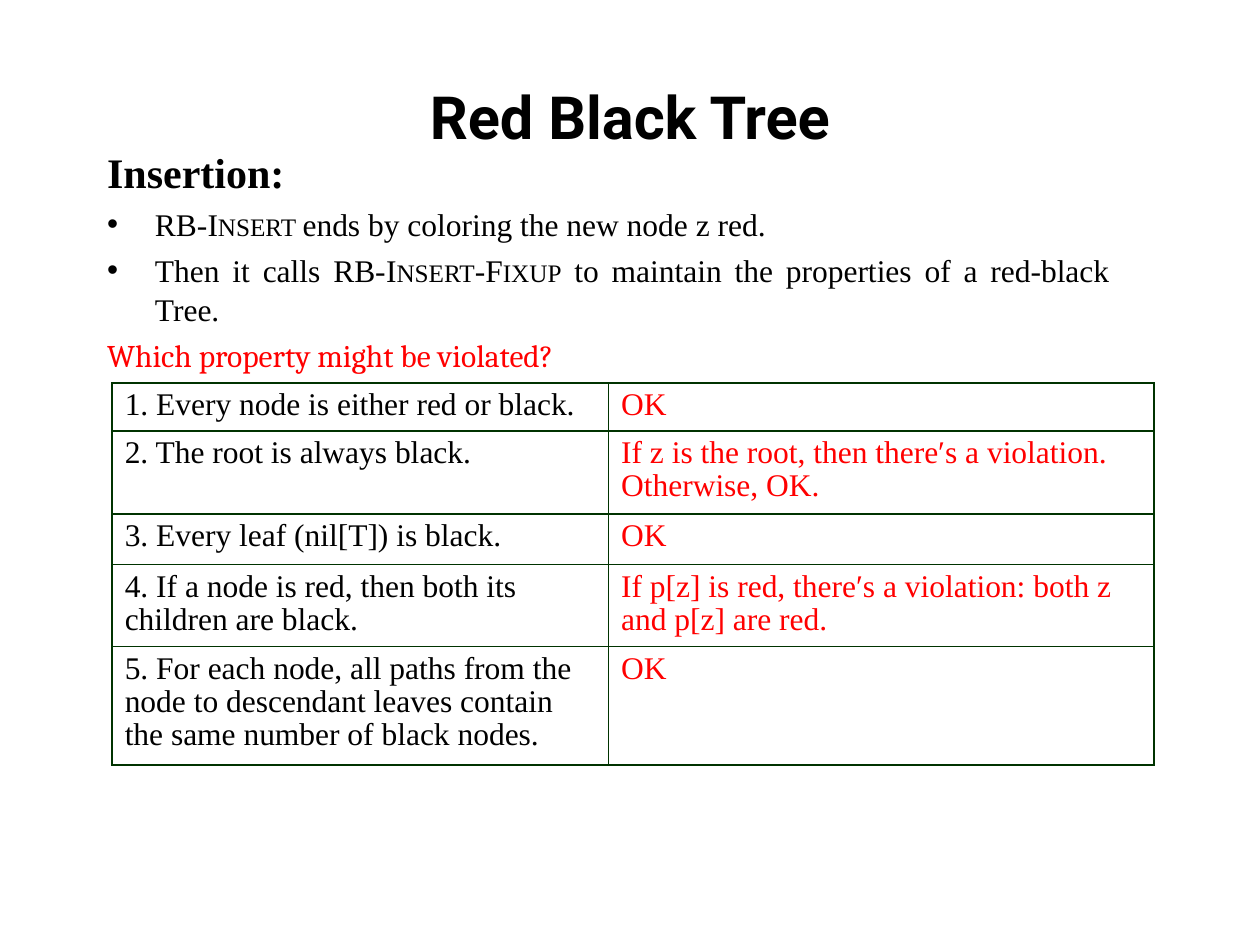
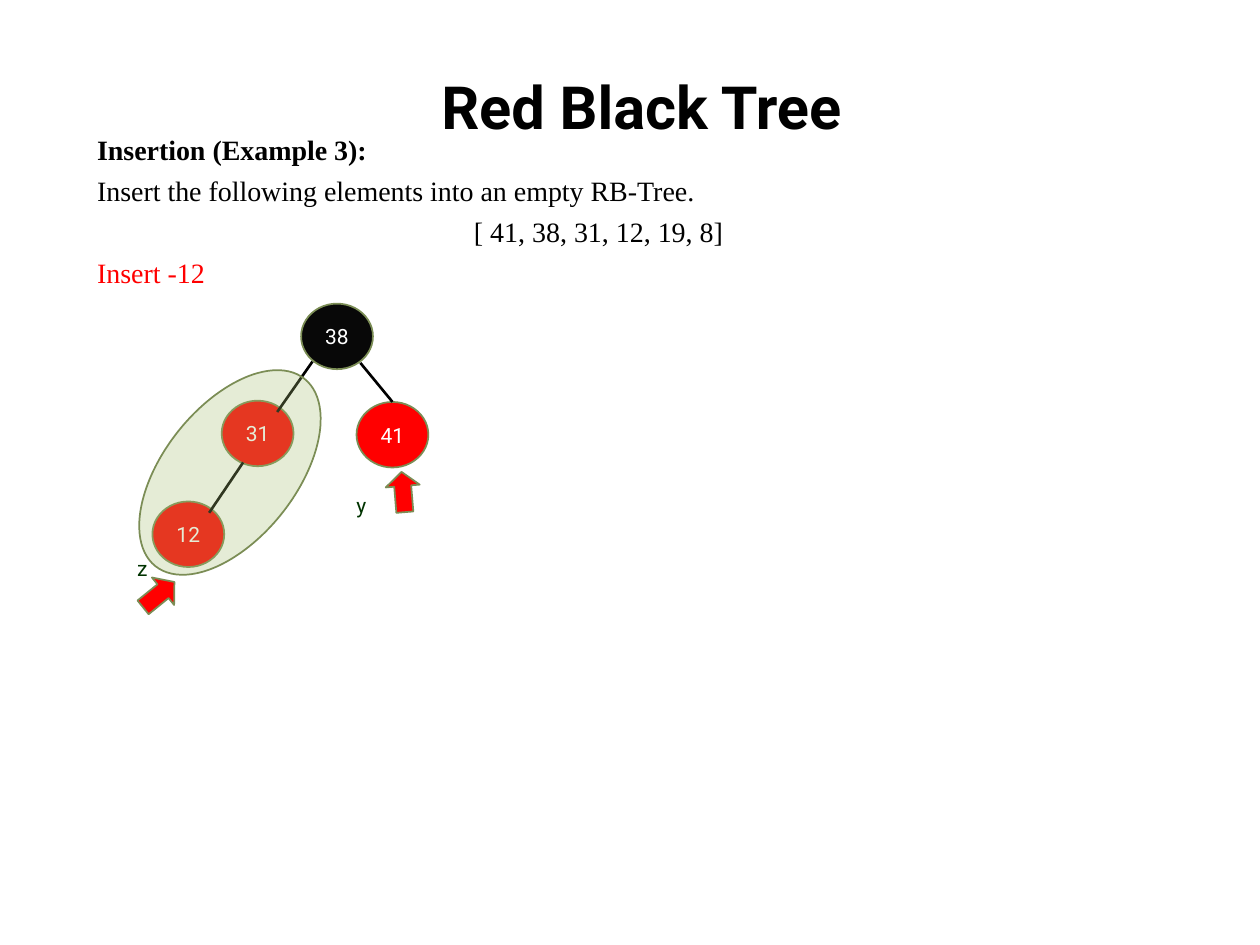
"""Build two slides on red-black tree insertion."""
from lxml import etree
from pptx import Presentation
from pptx.dml.color import RGBColor
from pptx.enum.shapes import MSO_CONNECTOR, MSO_SHAPE
from pptx.enum.text import MSO_ANCHOR, MSO_AUTO_SIZE, PP_ALIGN
from pptx.oxml.ns import qn
from pptx.util import Inches, Pt

LINE = MSO_CONNECTOR.STRAIGHT
OVAL, ARROW = MSO_SHAPE.OVAL, MSO_SHAPE.RIGHT_ARROW
MID, TOP = MSO_ANCHOR.MIDDLE, MSO_ANCHOR.TOP
LEFT, CENTER, JUST = PP_ALIGN.LEFT, PP_ALIGN.CENTER, PP_ALIGN.JUSTIFY
FIXED = MSO_AUTO_SIZE.NONE

BLACK, RED, WHITE, GREEN = "000000", "FF0000", "FFFFFF", "003300"
NODE, RIM, HALO = "080808", "7B8D55", "A6BF73"
SERIF, SANS, CAMBRIA = "Times New Roman", "Roboto", "Cambria"

TITLE = "Red Black Tree"
RULES = [
    dict(runs=["Insertion:"], size=24, bold=True),
    dict(runs=["RB-", ("Insert ",), "ends by coloring the new node z red."],
         bullet=True),
    dict(runs=["Then it calls RB-", ("Insert",), "-", ("Fixup",),
               " to maintain the properties of a red-black Tree."],
         bullet=True),
    dict(runs=["Which property might be violated?"], face=CAMBRIA, color=RED),
]
CHECKS = [
    ("1. Every node is either red or black.", "OK"),
    ("2. The root is always black.",
     "If z is the root, then there′s a violation. Otherwise, OK."),
    ("3. Every leaf (nil[T]) is black.", "OK"),
    ("4. If a node is red, then both its children are black.",
     "If p[z] is red, there′s a violation: both z and p[z] are red."),
    ("5. For each node, all paths from the node to descendant leaves "
     "contain the same number of black nodes.", "OK"),
]
COLS = (3.94, 4.33)
ROWS = (0.38, 0.66, 0.4, 0.65, 0.94)
STEPS = [
    dict(runs=["Insertion (Example 3):"], size=16, bold=True),
    dict(runs=["Insert the following elements into an empty RB-Tree."], size=16),
    dict(runs=["[ 41, 38, 31, 12, 19, 8]"], size=16, align=CENTER),
    dict(runs=["Insert -12"], size=16, color=RED, align=LEFT),
]
NODES = {"31": (1.76, 3.18, RED), "38": (2.39, 2.41, NODE),
         "41": (2.83, 3.19, RED), "12": (1.21, 3.98, RED)}
EDGES = [(2.48, 2.87, 2.2, 3.27, None), (2.86, 2.88, 3.11, 3.19, "41"),
         (1.93, 3.67, 1.66, 4.07, None)]
MARKS = [("z", (0.99, 4.36), (1.1, 4.58, 0.32, 0.28), 321),
         ("y", (2.73, 3.86), (3.04, 3.77, 0.32, 0.27), 265.3)]


def rgb(code):
    """Turn a hex string into a colour."""
    return RGBColor.from_string(code)


def box(*nums):
    """Turn numbers into lengths."""
    return [Inches(n) for n in nums]


def style(para, size, face, color, bold=False, align=LEFT):
    """Set the font and alignment of a paragraph."""
    para.alignment = align
    font = para.font
    font.size, font.name, font.bold = Pt(size), face, bold
    font.color.rgb = rgb(color)


def place(shape, spot, anchor):
    """Move a placeholder and fix its text frame."""
    shape.left, shape.top, shape.width, shape.height = box(*spot)
    frame = shape.text_frame
    frame.auto_size, frame.vertical_anchor = FIXED, anchor
    return frame


def write(frame, items):
    """Fill a body with paragraphs; runs in tuples are small caps."""
    for i, item in enumerate(items):
        para = frame.add_paragraph() if i else frame.paragraphs[0]
        bullet, size = item.get("bullet"), item.get("size", 18)
        para.line_spacing = 1.05
        para.space_before = Pt(size * 0.2 if i else 0)
        props = para._p.get_or_add_pPr()
        indent = Inches(0.38) if bullet else 0
        props.set("marL", str(indent))
        props.set("indent", str(-indent))
        if bullet:
            etree.SubElement(props, qn("a:buChar")).set("char", "•")
        else:
            etree.SubElement(props, qn("a:buNone"))
        style(para, size, item.get("face", SERIF), item.get("color", BLACK),
              item.get("bold", False), item.get("align", JUST))
        for part in item["runs"]:
            run = para.add_run()
            small = isinstance(part, tuple)
            run.text = part[0] if small else part
            if small:
                run._r.get_or_add_rPr().set("cap", "small")


def start(deck, head, body, items):
    """Add a slide with its title and body."""
    slide = deck.slides.add_slide(deck.slide_layouts[1])
    frame = place(slide.shapes.title, head, MID)
    frame.text = TITLE
    style(frame.paragraphs[0], 34, SANS, BLACK, True, CENTER)
    write(place(slide.placeholders[1], body, TOP), items)
    return slide.shapes


def border(cell):
    """Draw all four borders of a cell."""
    props = cell._tc.get_or_add_tcPr()
    for i, side in enumerate(("lnL", "lnR", "lnT", "lnB")):
        line = etree.Element(qn("a:" + side), w=str(Pt(1)))
        fill = etree.SubElement(line, qn("a:solidFill"))
        etree.SubElement(fill, qn("a:srgbClr"), val=GREEN)
        props.insert(i, line)


def grid(shapes):
    """Add the table of properties."""
    spot = box(0.89, 3.04, sum(COLS), sum(ROWS))
    table = shapes.add_table(len(ROWS), len(COLS), *spot).table
    table.first_row = table.horz_banding = False
    for col, wide in zip(table.columns, COLS):
        col.width = Inches(wide)
    for row, high, texts in zip(table.rows, ROWS, CHECKS):
        row.height = Inches(high)
        for cell, text, color in zip(row.cells, texts, (BLACK, RED)):
            cell.text = text
            cell.fill.background()
            border(cell)
            para = cell.text_frame.paragraphs[0]
            para.line_spacing = 0.95
            style(para, 18, SERIF, color)


def draw(shapes, kind, spot, color, turn=0):
    """Add a filled shape with the olive rim."""
    shape = shapes.add_shape(kind, *box(*spot))
    shape.shadow.inherit = False
    shape.fill.solid()
    shape.fill.fore_color.rgb = rgb(color)
    shape.line.color.rgb, shape.line.width = rgb(RIM), Pt(1)
    shape.rotation = turn
    return shape


def tree(shapes):
    """Add the nodes, edges, halo and pointers."""
    made = {}
    for key, (x, y, color) in NODES.items():
        made[key] = draw(shapes, OVAL, (x, y, 0.57, 0.52), color)
        frame = made[key].text_frame
        frame.text, frame.word_wrap, frame.vertical_anchor = key, False, MID
        style(frame.paragraphs[0], 12, SANS, WHITE, align=CENTER)
    for *ends, child in EDGES:
        edge = shapes.add_connector(LINE, *box(*ends))
        edge.line.color.rgb, edge.line.width = rgb(BLACK), Pt(1.5)
        etree.SubElement(edge._element.spPr, qn("a:effectLst"))
        if child:
            edge.end_connect(made[child], 0)
    halo = draw(shapes, OVAL, (1.3, 2.8, 1.05, 1.9), HALO, 38.5)
    tint = halo._element.spPr.find(qn("a:solidFill"))[0]
    etree.SubElement(tint, qn("a:alpha"), val="29000")
    for name, spot, tip, turn in MARKS:
        arrow = draw(shapes, ARROW, tip, RED, turn)
        arrow.adjustments[0], arrow.adjustments[1] = 0.5, 0.415
        frame = shapes.add_textbox(*box(*spot, 0.27, 0.3)).text_frame
        frame.text, frame.word_wrap = name, True
        style(frame.paragraphs[0], 12, SANS, GREEN)


def main():
    """Build and save the deck."""
    deck = Presentation()
    deck.slide_width, deck.slide_height = box(10, 7.5)
    grid(start(deck, (0.5, 0.52, 9, 0.79), (0.75, 1.09, 8.16, 4.88), RULES))
    tree(start(deck, (0.59, 0.44, 9, 0.79), (0.67, 0.99, 8.16, 1.34), STEPS))
    deck.save("out.pptx")


if __name__ == "__main__":
    main()
